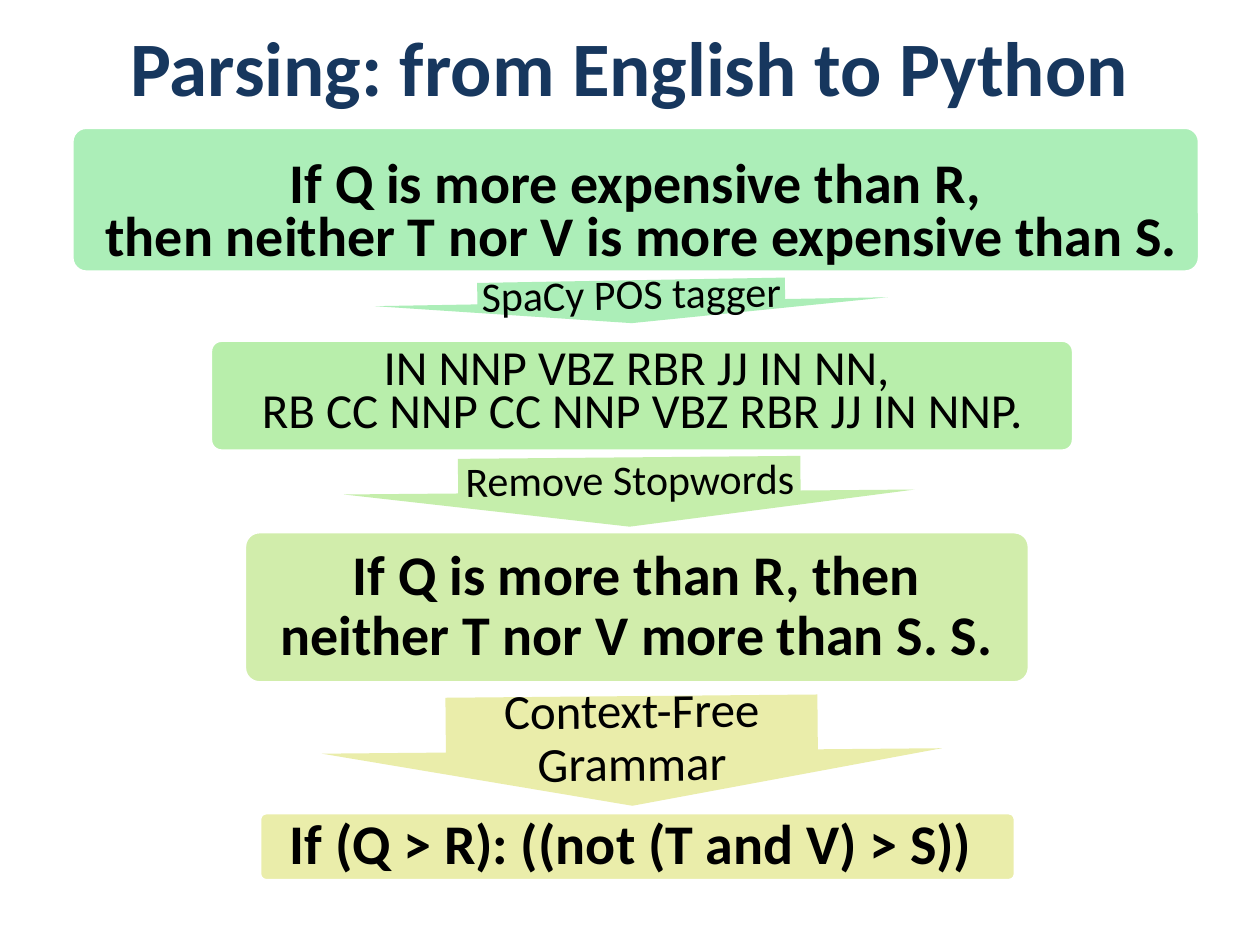
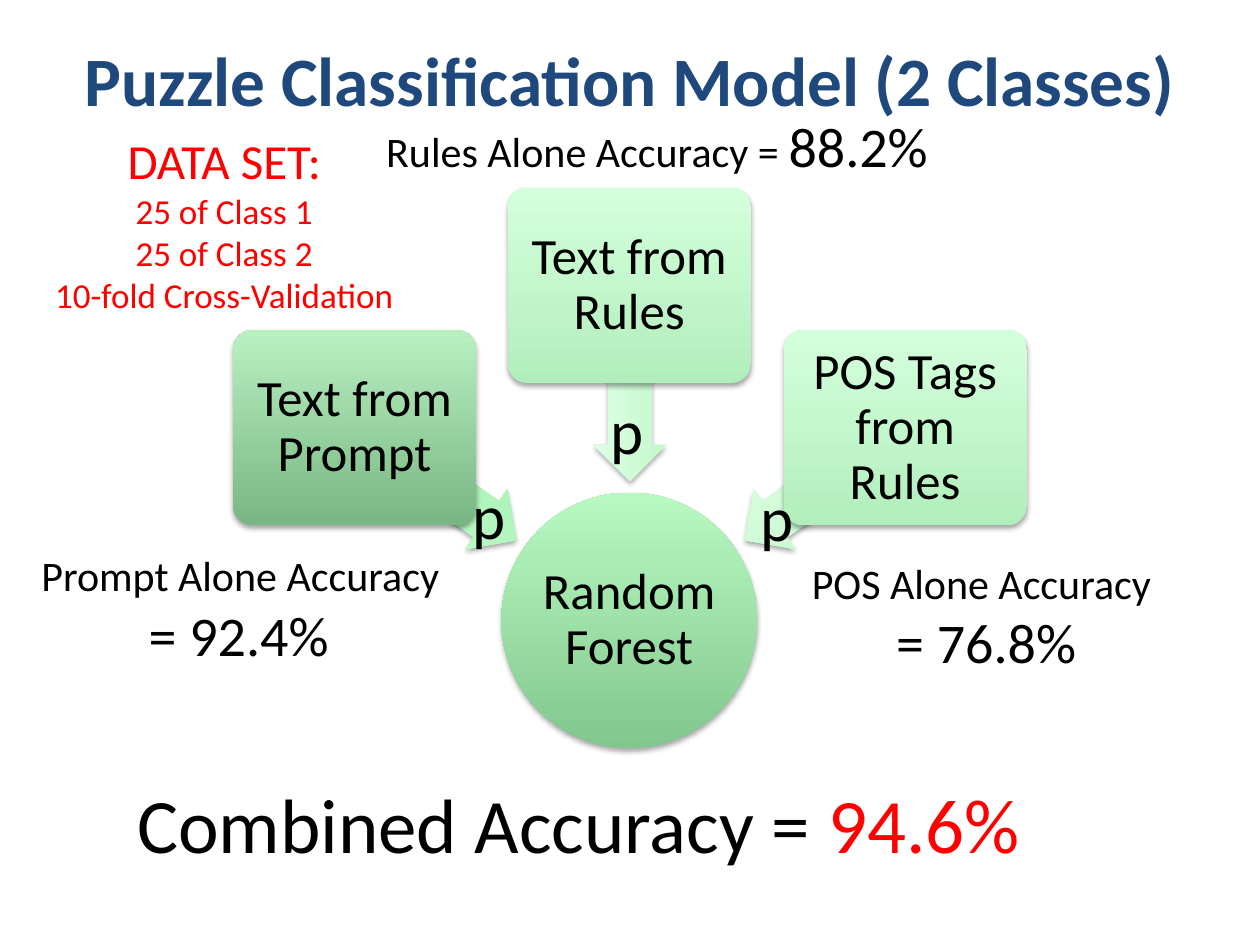
from typing import NamedTuple

from lxml.etree import SubElement
from pptx import Presentation
from pptx.dml.color import RGBColor
from pptx.enum.shapes import MSO_SHAPE
from pptx.enum.text import MSO_ANCHOR, MSO_AUTO_SIZE, PP_ALIGN
from pptx.oxml.ns import qn
from pptx.util import Inches, Pt

FONT = "Calibri"
HEX = {
    "black": "000000", "white": "FFFFFF", "red": "FF0000",
    "navy": "17375E", "blue": "1F497D",
    "mint": "ACEEB8", "leaf": "B8EEAB", "lime": "C5EEAB",
    "pear": "D1EDAB", "straw": "EAEDAA",
}
# Gradients run from the bottom colour to the top colour
FADES = {
    "forest": ("82C78E", "B8F9C2"), "moss": ("78B783", "B9F0C1"),
    "pale": ("B2EEBC", "D4FFDB"), "jade": ("9BEDAA", "CBFFD3"),
    "mist": ("C2F7CB", "DFFFE4"),
}


class Area(NamedTuple):
    left: float
    top: float
    width: float
    height: float


class Run(NamedTuple):
    text: str
    size: float
    color: str = "black"


class Step(NamedTuple):
    """A box of the parsing chain."""
    area: Area
    fill: str
    text: list
    style: dict


class Link(NamedTuple):
    """A labelled arrow between two steps."""
    area: Area
    turn: float
    fill: str
    label: Area
    text: str
    size: float


class Spoke(NamedTuple):
    """A feature box with its arrow to the hub."""
    area: Area
    fade: str
    text: str
    arrow: Area
    turn: float
    tint: str


class Note(NamedTuple):
    """A free line of text, or several."""
    area: Area
    text: list
    align: PP_ALIGN = PP_ALIGN.CENTER


STEPS = [
    Step(Area(0.57, 1.01, 8.95, 1.15), "mint",
         ["If Q is more expensive than R,",
          " then neither T nor V is more expensive than S."],
         dict(size=32, bold=True, lead=Pt(30.5), gap=0, inset=0,
              anchor=MSO_ANCHOR.BOTTOM)),
    Step(Area(1.67, 2.7, 6.85, 0.88), "leaf",
         ["IN NNP VBZ RBR JJ IN NN, ",
          "RB CC NNP CC NNP VBZ RBR JJ IN NNP."],
         dict(size=28, lead=Pt(24.5), gap=0, inset=0.12)),
    Step(Area(1.94, 4.22, 6.23, 1.2), "pear",
         ["If Q is more than R, then neither T nor V more than S. S."],
         dict(size=32, bold=True, lead=0.9, inset=0.13)),
    Step(Area(2.06, 6.45, 6, 0.54), "straw",
         ["If (Q > R): ((not (T and V) > S)) "],
         dict(size=32, bold=True, lead=0.9, inset=0.13)),
]
LINKS = [
    Link(Area(4.84, 0.36, 0.34, 4.07), 89, "mint",
         Area(3.79, 2.23, 2.44, 0.24), "SpaCy POS tagger", 24),
    Link(Area(4.72, 1.64, 0.55, 4.53), 89.5, "lime",
         Area(3.64, 3.63, 2.72, 0.39), "Remove Stopwords", 24),
    Link(Area(4.58, 3.5, 0.87, 4.92), 89.5, "straw",
         Area(3.54, 5.56, 2.95, 0.61), "Context-Free Grammar", 28),
]
SPOKES = [
    Spoke(Area(1.85, 2.62, 1.93, 1.55), "moss", "Text from Prompt",
          Area(2.68, 3.55, 1.56, 0.58), 215, "jade"),
    Spoke(Area(4.03, 1.49, 1.93, 1.55), "pale", "Text from Rules",
          Area(4.22, 2.75, 1.56, 0.58), 270, "mist"),
    Spoke(Area(6.22, 2.62, 1.93, 1.55), "pale", "POS Tags from Rules",
          Area(5.77, 3.55, 1.56, 0.58), 325, "mist"),
]
NOTES = [
    *[Note(Area(left, top, 0.47, 0.71), [[Run("p", 36)]], PP_ALIGN.LEFT)
      for left, top in ((3.65, 3.73), (4.75, 3.05), (5.94, 3.74))],
    Note(Area(0.24, 4.31, 3.41, 1.04),
         [[Run("Prompt Alone Accuracy ", 24)], [Run("= 92.4% ", 32)]]),
    Note(Area(2.94, 0.83, 4.55, 0.64),
         [[Run("Rules Alone Accuracy = ", 24), Run("88.2%", 32)]]),
    Note(Area(6.32, 4.37, 2.94, 1.04),
         [[Run("POS Alone Accuracy", 24)],
          [Run(" ", 24), Run("= 76.8%", 32)]]),
    Note(Area(0.99, 6.11, 7.29, 0.84),
         [[Run("Combined Accuracy = ", 44), Run("94.6%", 44, "red")]],
         PP_ALIGN.LEFT),
    Note(Area(0.31, 0.98, 2.94, 1.58),
         [[Run("DATA SET:", 28, "red")],
          *[[Run(text, 20, "red")] for text in (
              "25 of Class 1", "25 of Class 2", "10-fold Cross-Validation")]]),
]


def rgb(name: str) -> RGBColor:
    return RGBColor.from_string(HEX[name])


def box(area: Area) -> list:
    return [Inches(side) for side in area]


def put(shape, paras: list, *, size: float = 24, color: str = "black",
        bold: bool = False, align=PP_ALIGN.CENTER, anchor=MSO_ANCHOR.MIDDLE,
        lead=None, gap: float = 0, inset: float | None = None,
        wrap: bool = True) -> None:
    """Write paragraphs, each a string or a list of runs."""
    frame = shape.text_frame
    frame.auto_size = MSO_AUTO_SIZE.NONE
    frame.word_wrap = wrap
    frame.vertical_anchor = anchor
    if inset is not None:
        frame.margin_left = frame.margin_right = Inches(inset)
        frame.margin_top = frame.margin_bottom = Inches(inset)
    for i, para in enumerate(paras):
        line = frame.paragraphs[0] if i == 0 else frame.add_paragraph()
        line.alignment = align
        line.space_after = Pt(gap)
        if lead is not None:
            line.line_spacing = lead
        runs = [Run(para, size, color)] if isinstance(para, str) else para
        for run in runs:
            part = line.add_run()
            part.text = run.text
            part.font.name = FONT
            part.font.size = Pt(run.size)
            part.font.bold = bold
            part.font.color.rgb = rgb(run.color)


def draw(slide, kind, area: Area, fill: str, *, adjust: tuple = (),
         turn: float = 0, edge: bool = False):
    """Add a preset shape with a flat fill, or a shaded one with a shadow."""
    shape = slide.shapes.add_shape(kind, *box(area))
    shape.rotation = turn
    for i, value in enumerate(adjust):
        shape.adjustments[i] = value
    shape.shadow.inherit = False
    if edge:
        shape.line.color.rgb = rgb("white")
        shape.line.width = Pt(2)
    else:
        shape.line.fill.background()
    if fill in FADES:
        shape.fill.gradient()
        shape.fill.gradient_angle = 90
        for stop, tone in zip(shape.fill.gradient_stops, FADES[fill]):
            stop.color.rgb = RGBColor.from_string(tone)
        cast(shape)
    else:
        shape.fill.solid()
        shape.fill.fore_color.rgb = rgb(fill)
    return shape


def cast(shape) -> None:
    """Give a shape a soft shadow below it."""
    effects = shape._element.spPr.find(qn("a:effectLst"))
    shade = SubElement(effects, qn("a:outerShdw"), blurRad=str(Pt(3.1)),
                       dist=str(Pt(1.8)), dir="5400000", rotWithShape="0")
    tone = SubElement(shade, qn("a:srgbClr"), val=HEX["black"])
    SubElement(tone, qn("a:alpha"), val="35000")


def start(deck, title: str, area: Area, size: float, color: str):
    """Add a slide with its title."""
    slide = deck.slides.add_slide(deck.slide_layouts[5])
    head = slide.shapes.title
    head.left, head.top, head.width, head.height = box(area)
    put(head, [title], size=size, color=color, bold=True)
    return slide


def parsing(deck) -> None:
    slide = start(deck, "Parsing: from English to Python",
                  Area(0, 0.14, 10, 0.76), 44, "navy")
    for step in STEPS:
        shape = draw(slide, MSO_SHAPE.ROUNDED_RECTANGLE, step.area, step.fill,
                     adjust=(0.1,), edge=True)
        put(shape, step.text, **step.style)
    for link in LINKS:
        draw(slide, MSO_SHAPE.RIGHT_ARROW, link.area, link.fill,
             adjust=(0.6, 0.5), turn=link.turn)
        label = slide.shapes.add_textbox(*box(link.label))
        label.rotation = link.turn + 270
        put(label, [link.text], size=link.size, lead=0.9, inset=0)


def model(deck) -> None:
    slide = start(deck, "Puzzle Classification Model (2 Classes)",
                  Area(0.5, 0, 9, 1.25), 39.6, "blue")
    # Hub and the features that feed it
    hub = draw(slide, MSO_SHAPE.OVAL, Area(3.98, 3.91, 2.03, 2.03), "forest")
    put(hub, ["Random Forest"], size=29, lead=0.9, gap=10.15, inset=0.02)
    for spoke in SPOKES:
        draw(slide, MSO_SHAPE.LEFT_ARROW, spoke.arrow, spoke.tint,
             adjust=(0.6, 0.5), turn=spoke.turn)
        shape = draw(slide, MSO_SHAPE.ROUNDED_RECTANGLE, spoke.area,
                     spoke.fade, adjust=(0.1,))
        put(shape, [spoke.text], size=29, lead=0.9, gap=10.15, inset=0.06)
    # Accuracies, arrow marks and data set
    for note in NOTES:
        text = slide.shapes.add_textbox(*box(note.area))
        put(text, note.text, align=note.align, wrap=False)


def main() -> None:
    deck = Presentation()
    deck.slide_width, deck.slide_height = Inches(10), Inches(7.5)
    parsing(deck)
    model(deck)
    deck.save("out.pptx")


if __name__ == "__main__":
    main()
